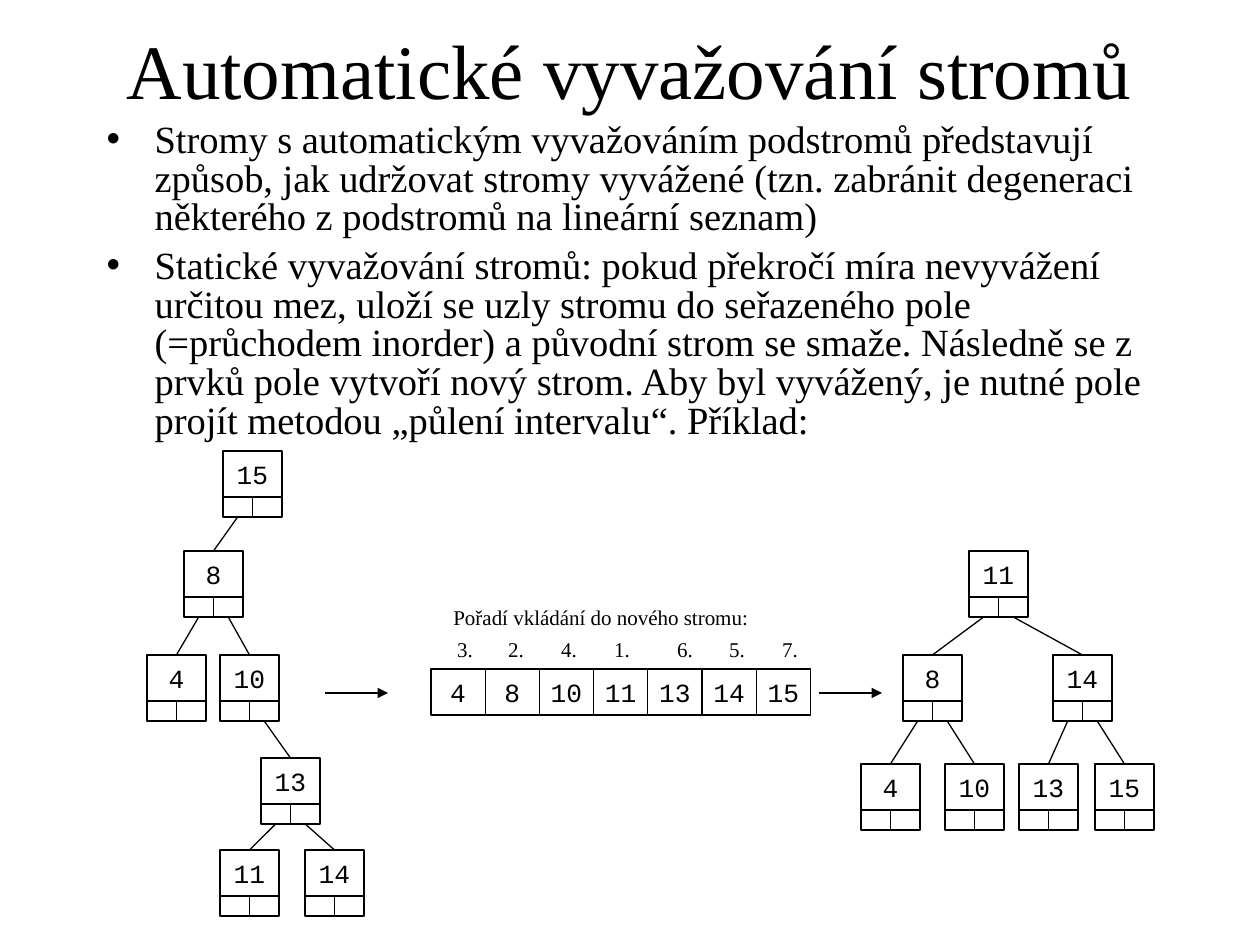
from dataclasses import dataclass

from lxml import etree
from pptx import Presentation
from pptx.dml.color import RGBColor
from pptx.enum.shapes import MSO_CONNECTOR, MSO_SHAPE
from pptx.enum.text import MSO_ANCHOR, MSO_AUTO_SIZE, PP_ALIGN
from pptx.oxml.ns import qn
from pptx.util import Emu, Inches, Pt

RECTANGLE = MSO_SHAPE.RECTANGLE
STRAIGHT = MSO_CONNECTOR.STRAIGHT
TOP, MIDDLE = MSO_ANCHOR.TOP, MSO_ANCHOR.MIDDLE
LEFT, CENTER = PP_ALIGN.LEFT, PP_ALIGN.CENTER
NO_AUTOFIT = MSO_AUTO_SIZE.NONE
SCALE = Inches(1) // 126


@dataclass(frozen=True)
class Theme:
    ink: RGBColor = RGBColor(0, 0, 0)
    serif: str = "Times New Roman"
    mono: str = "Courier New"
    title: int = 44
    body: int = 22
    value: int = 15
    label: int = 12
    line: float = 0.74


def px(length):
    return Emu(round(length * SCALE))


def write(frame, *texts, font, size, color, align=LEFT, anchor=TOP, wrap=True,
          line_spacing=None, space_before=None, hanging=None):
    frame.auto_size = NO_AUTOFIT
    frame.word_wrap = wrap
    frame.vertical_anchor = anchor
    for index, text in enumerate(texts):
        para = frame.add_paragraph() if index else frame.paragraphs[0]
        para.alignment = align
        para.line_spacing = line_spacing
        para.space_before = space_before
        if hanging:
            properties = para._p.get_or_add_pPr()
            properties.set("marL", str(px(hanging)))
            properties.set("indent", str(-px(hanging)))
        span = para.add_run()
        span.text = text
        span.font.name = font
        span.font.size = Pt(size)
        span.font.color.rgb = color


class TreeSlide:
    """Draws binary trees, arrays and text on one slide in a shared style."""

    NODE_WIDTH, VALUE_HEIGHT, POINTER_HEIGHT = 59, 46, 20

    def __init__(self, slide, theme):
        self.slide = slide
        self.theme = theme

    def placeholder(self, index, left, top, width, height, *texts, **style):
        box = self.slide.placeholders[index]
        box.left, box.top, box.width, box.height = map(px, (left, top, width, height))
        write(box.text_frame, *texts, font=self.theme.serif, color=self.theme.ink, **style)

    def label(self, text, left, top, width, height, align=LEFT):
        box = self.slide.shapes.add_textbox(*map(px, (left, top, width, height)))
        write(box.text_frame, text, font=self.theme.serif, size=self.theme.label,
              color=self.theme.ink, align=align, wrap=False)

    def cell(self, left, top, width, height, text=None):
        box = self.slide.shapes.add_shape(RECTANGLE, *map(px, (left, top, width, height)))
        box.shadow.inherit = False
        box.fill.background()
        box.line.color.rgb = self.theme.ink
        box.line.width = Pt(self.theme.line)
        if text:
            write(box.text_frame, text, font=self.theme.mono, size=self.theme.value,
                  color=self.theme.ink, align=CENTER, anchor=MIDDLE, wrap=False)

    def line(self, start, end, arrow=False):
        connector = self.slide.shapes.add_connector(STRAIGHT, *map(px, (*start, *end)))
        connector.line.color.rgb = self.theme.ink
        connector.line.width = Pt(self.theme.line)
        if arrow:
            etree.SubElement(connector.line._get_or_add_ln(), qn("a:tailEnd"), type="triangle")
        etree.SubElement(connector._element.spPr, qn("a:effectLst"))

    def tree(self, value, left, top, left_child=None, right_child=None):
        half = self.NODE_WIDTH / 2
        pointer_top = top + self.VALUE_HEIGHT
        self.cell(left, top, self.NODE_WIDTH, self.VALUE_HEIGHT, value)
        for side, child in enumerate((left_child, right_child)):
            pointer_left = left + side * half
            self.cell(pointer_left, pointer_top, half, self.POINTER_HEIGHT)
            if child:
                start = (pointer_left + half / 2, pointer_top + self.POINTER_HEIGHT)
                self.line(start, (child[1] + half, child[2]))
                self.tree(*child)

    def array(self, values, left, top, pitch):
        for index, value in enumerate(values):
            self.cell(left + index * pitch, top, pitch, self.VALUE_HEIGHT, value)


UNBALANCED = ("15", 223, 451,
              ("8", 184, 551,
               ("4", 147, 655),
               ("10", 220, 655,
                None,
                ("13", 261, 758,
                 ("11", 220, 850),
                 ("14", 305, 850)))))
BALANCED = ("11", 969, 551,
            ("8", 903, 655,
             ("4", 861, 764),
             ("10", 945, 764)),
            ("14", 1053, 655,
             ("13", 1019, 764),
             ("15", 1095, 764)))
SORTED_VALUES = ("4", "8", "10", "11", "13", "14", "15")
INSERTION_ORDER = (("3.", 444), ("2.", 495), ("4.", 548), ("1.", 601),
                   ("6.", 664), ("5.", 716), ("7.", 769))
BULLETS = (
    "Stromy s automatickým vyvažováním podstromů představují způsob, jak udržovat "
    "stromy vyvážené (tzn. zabránit degeneraci některého z podstromů na lineární seznam)",
    "Statické vyvažování stromů: pokud překročí míra nevyvážení určitou mez, uloží se "
    "uzly stromu do seřazeného pole (=průchodem inorder) a původní strom se smaže. "
    "Následně se z prvků pole vytvoří nový strom. Aby byl vyvážený, je nutné pole "
    "projít metodou „půlení intervalu“. Příklad:",
)


def main():
    deck = Presentation()
    deck.slide_width, deck.slide_height = Inches(10), Inches(7.5)
    theme = Theme()
    page = TreeSlide(deck.slides.add_slide(deck.slide_layouts[1]), theme)
    page.placeholder(0, 94, -10, 1071, 158, "Automatické vyvažování stromů",
                     size=theme.title, align=CENTER, anchor=MIDDLE)
    page.placeholder(1, 94, 116, 1071, 567, *BULLETS, size=theme.body,
                     line_spacing=0.84, space_before=Pt(5.5), hanging=48)
    page.tree(*UNBALANCED)
    page.tree(*BALANCED)
    for arrow_left in (325, 819):
        page.line((arrow_left, 693), (arrow_left + 63, 693), arrow=True)
    page.array(SORTED_VALUES, 431, 669, 54.2)
    for order, left in INSERTION_ORDER:
        page.label(order, left, 630, 42, 45, align=CENTER)
    page.label("Pořadí vkládání do nového stromu:", 441, 598, 252, 42)
    deck.save("out.pptx")


main()
